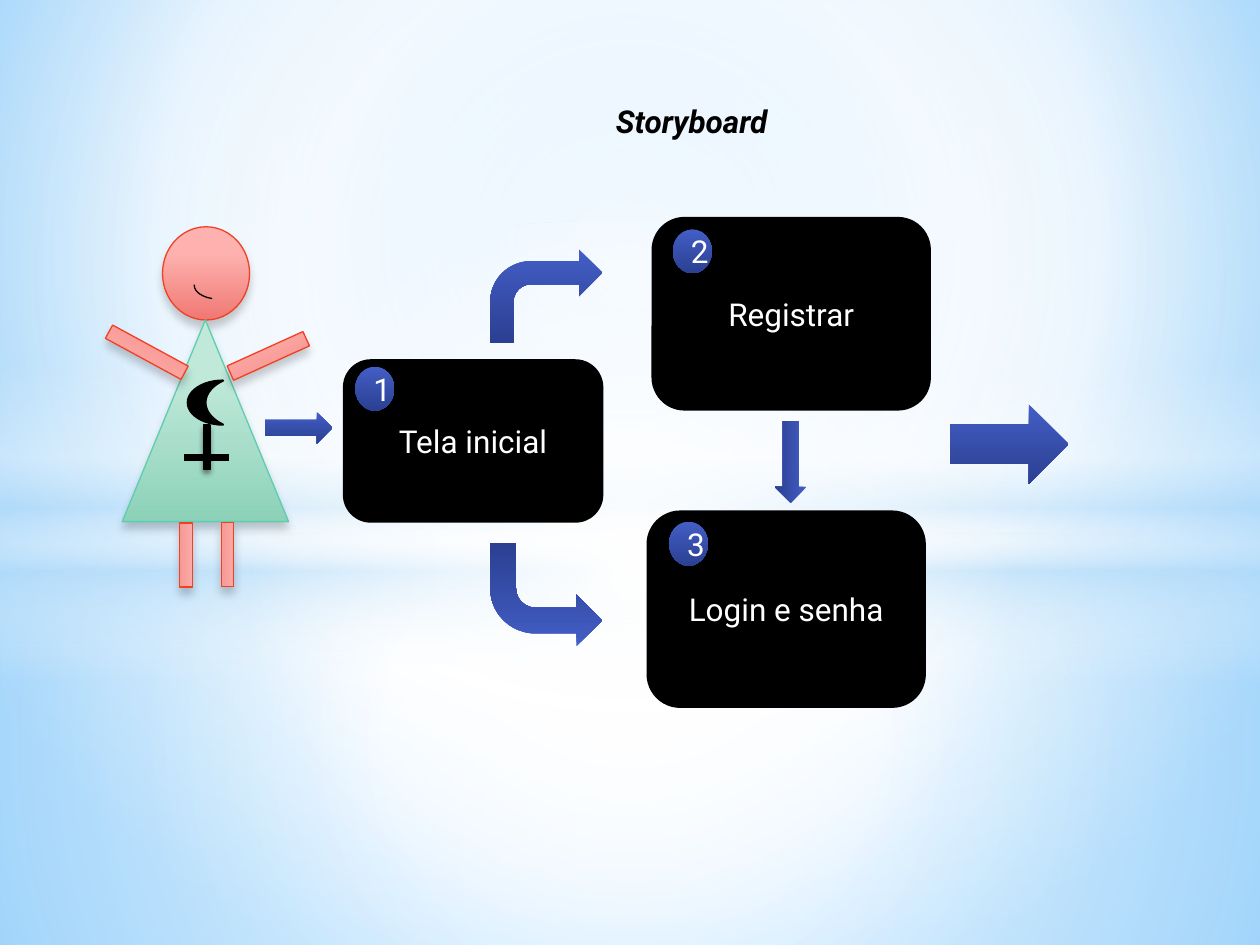
from lxml import etree
from pptx import Presentation
from pptx.dml.color import RGBColor
from pptx.enum.shapes import MSO_SHAPE as S
from pptx.enum.text import MSO_ANCHOR, PP_ALIGN
from pptx.oxml.ns import qn
from pptx.util import Inches, Pt

RECT, ROUND, OVAL, CONE = S.RECTANGLE, S.ROUNDED_RECTANGLE, S.OVAL, S.ISOSCELES_TRIANGLE
ARROW, BENT, BAR, ARC, MOON = S.RIGHT_ARROW, S.BENT_ARROW, S.MATH_MINUS, S.ARC, S.MOON
CENTER, MIDDLE = PP_ALIGN.CENTER, MSO_ANCHOR.MIDDLE

BLACK = RGBColor(0x00, 0x00, 0x00)
WHITE = RGBColor(0xFF, 0xFF, 0xFF)
SKY = RGBColor(0x9E, 0xD5, 0xFF)
AZURE = RGBColor(0x5B, 0xB9, 0xFF)
PALE = RGBColor(0xB4, 0xDC, 0xFA)
RED = RGBColor(0xF1, 0x41, 0x24)
MINT = RGBColor(0x5D, 0xCE, 0xAF)

# Gradient stops: position, colour, opacity
BLUE = [(0, RGBColor(0x43, 0x5E, 0xC5), 100), (100, RGBColor(0x2B, 0x40, 0x92), 100)]
SKIN = [(28, RGBColor(0xFD, 0xB2, 0xAF), 100), (100, RGBColor(0xF0, 0x78, 0x73), 100)]
DRESS = [(28, RGBColor(0xC0, 0xE9, 0xDA), 100), (100, RGBColor(0x8C, 0xD1, 0xB8), 100)]
BACK = [(0, SKY, 100), (60, WHITE, 100), (100, AZURE, 100)]
MID = (50, 50, 50, 50)

# Backdrop layers: kind, box, stops, focus (None for a vertical gradient)
LAYERS = [
    (RECT, (0, 4.23, 10, 3.27), [(0, WHITE, 91), (37, WHITE, 76), (100, PALE, 79)], MID),
    (RECT, (0, 0, 10, 4.23), [(0, WHITE, 89), (48, WHITE, 62), (100, PALE, 79)], MID),
    (RECT, (0, 2.9, 10, 2.5), [(0, WHITE, 0), (29, WHITE, 30), (45, PALE, 40),
                               (55, WHITE, 26), (65, PALE, 60), (100, WHITE, 0)], None),
    (OVAL, (0, 1.75, 10, 5.58), [(0, WHITE, 100), (54, WHITE, 0)], MID),
]

# Shadow: opacity, blur, distance
SOFT, DARK = (20, 5, 4), (45, 3.1, 1.8)
BODY = dict(fill=SKIN, line=(RED, 0.75), shade=SOFT)

# Girl: kind, box, format
GIRL = [
    (OVAL, (1.29, 1.8, 0.69, 0.74), BODY),
    (CONE, (0.97, 2.54, 1.32, 1.6), dict(fill=DRESS, line=(MINT, 0.75), shade=SOFT)),
    (BAR, (1.13, 4.19, 0.69, 0.43), dict(BODY, turn=90)),
    (BAR, (1.46, 4.19, 0.69, 0.42), dict(BODY, turn=90)),
    (BAR, (1.68, 2.56, 0.9, 0.53), dict(BODY, turn=335.6)),
    (BAR, (0.7, 2.54, 0.93, 0.51), dict(BODY, turn=208.5)),
    (ARC, (1.54, 2.19, 0.31, 0.18), dict(line=(BLACK, 0.75), turn=187.9)),
    (MOON, (1.49, 3.02, 0.28, 0.35), dict(fill=BLACK, line=(BLACK, 1.25))),
    (BAR, (1.4, 3.44, 0.48, 0.22),
     dict(fill=BLACK, line=(BLACK, 0.75), shade=DARK, turn=90)),
    (BAR, (1.4, 3.52, 0.48, 0.22), dict(fill=BLACK)),
]

# Arrows: kind, box, turn, flipped
ARROWS = [
    (BENT, (3.89, 1.98, 0.89, 0.74), 0, False),
    (BENT, (3.89, 4.31, 0.89, 0.82), 0, True),
    (ARROW, (7.54, 3.21, 0.94, 0.63), 0, False),
    (ARROW, (2.1, 3.27, 0.54, 0.25), 0, False),
    (ARROW, (5.95, 3.54, 0.65, 0.25), 90, False),
]

# Screens: label, box, badge corner
SCREENS = [
    ("Tela inicial", (2.73, 2.86, 2.05, 1.28), (2.82, 2.91)),
    ("Registrar", (5.18, 1.73, 2.2, 1.52), (5.34, 1.82)),
    ("Login e senha", (5.14, 4.06, 2.2, 1.55), (5.31, 4.14)),
]
BADGE = (0.31, 0.35)
TITLE, TITLE_BOX = "Storyboard", (4.47, 0.76, 2.04, 0.4)


def blend(fill, owner, stops, focus=None):
    """Give the owner element a gradient with opacity."""
    fill.background()
    node = etree.Element(qn("a:gradFill"), rotWithShape="1")
    stop_list = etree.SubElement(node, qn("a:gsLst"))
    for pos, color, alpha in stops:
        stop = etree.SubElement(stop_list, qn("a:gs"), pos=str(pos * 1000))
        tint = etree.SubElement(stop, qn("a:srgbClr"), val=str(color))
        if alpha < 100:
            etree.SubElement(tint, qn("a:alpha"), val=str(alpha * 1000))
    if focus:
        way = etree.SubElement(node, qn("a:path"), {"path": "circle"})
        sides = {side: str(v * 1000) for side, v in zip("ltrb", focus)}
        etree.SubElement(way, qn("a:fillToRect"), sides)
    else:
        etree.SubElement(node, qn("a:lin"), ang="5400000", scaled="0")
    owner.replace(owner.find(qn("a:noFill")), node)


def draw(kind, box, fill=None, line=None, shade=None, turn=0, focus=None):
    shape = slide.shapes.add_shape(kind, *map(Inches, box))
    shape.rotation = turn
    shape.shadow.inherit = False
    props = shape.element.spPr
    if isinstance(fill, list):
        blend(shape.fill, props, fill, focus)
    elif fill is None:
        shape.fill.background()
    else:
        shape.fill.solid()
        shape.fill.fore_color.rgb = fill
    if line:
        shape.line.color.rgb, shape.line.width = line[0], Pt(line[1])
    else:
        shape.line.fill.background()
    if shade:
        alpha, blur, dist = shade
        cast = etree.SubElement(
            props.find(qn("a:effectLst")), qn("a:outerShdw"), blurRad=str(Pt(blur)),
            dist=str(Pt(dist)), dir="5400000", rotWithShape="0")
        tint = etree.SubElement(cast, qn("a:srgbClr"), val=str(BLACK))
        etree.SubElement(tint, qn("a:alpha"), val=str(alpha * 1000))
    return shape


def write(shape, text, color=WHITE, **style):
    shape.text_frame.vertical_anchor = MIDDLE
    para = shape.text_frame.paragraphs[0]
    para.alignment = CENTER
    run = para.add_run()
    run.text = text
    run.font.color.rgb = color
    for name, value in dict(name="Roboto", size=Pt(18), **style).items():
        setattr(run.font, name, value)


deck = Presentation()
deck.slide_width, deck.slide_height = Inches(10), Inches(7.5)
slide = deck.slides.add_slide(deck.slide_layouts[6])

# Backdrop
ground = slide.background.fill
ground.solid()
blend(ground, next(slide.element.iter(qn("p:bgPr"))), BACK, (20, 10, 20, 60))
for kind, box, stops, focus in LAYERS:
    draw(kind, box, fill=stops, focus=focus)

# Girl
for kind, box, form in GIRL:
    draw(kind, box, **form)

# Arrows
for kind, box, turn, flip in ARROWS:
    arrow = draw(kind, box, fill=BLUE, turn=turn)
    if flip:
        arrow.element.spPr.find(qn("a:xfrm")).set("flipV", "1")

# Numbered screens
for num, (label, box, corner) in enumerate(SCREENS, 1):
    write(draw(ROUND, box, fill=BLACK, line=(BLACK, 1.25)), label)
    write(draw(OVAL, corner + BADGE, fill=BLUE), str(num))

# Title
title = slide.shapes.add_textbox(*map(Inches, TITLE_BOX))
title.text_frame.word_wrap = True
write(title, TITLE, BLACK, bold=True, italic=True)

deck.save("out.pptx")
